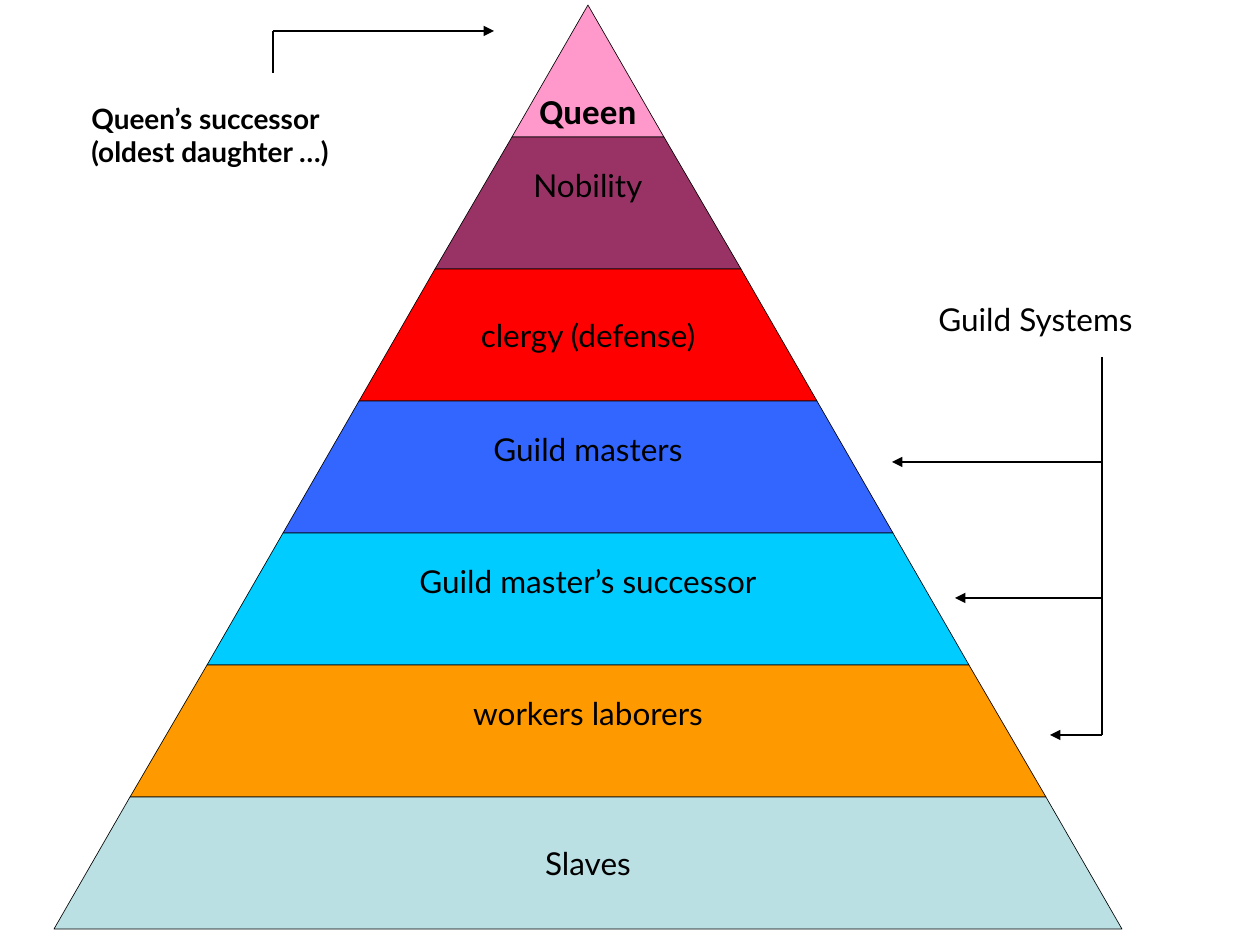
from dataclasses import dataclass

from lxml.etree import SubElement
from pptx import Presentation
from pptx.dml.color import RGBColor
from pptx.enum.shapes import MSO_CONNECTOR
from pptx.enum.text import MSO_ANCHOR, PP_ALIGN
from pptx.oxml.ns import qn
from pptx.slide import Slide
from pptx.text.text import TextFrame
from pptx.util import Emu, Pt

EMU_PER_PX = 914400 / 126


@dataclass(frozen=True)
class Theme:
    ink: str = "000000"
    font: str = "Lato"
    queen_font: str = "Calibri"
    body_size: int = 18
    queen_size: int = 20
    note_size: int = 16
    outline: float = 0.37
    arrow_line: float = 0.75


THEME = Theme()


@dataclass(frozen=True)
class Band:
    label: str
    fill: str
    space_above: int = 0
    space_below: int = 0
    font: str = THEME.font
    size: int = THEME.body_size
    bold: bool = False


@dataclass(frozen=True)
class Note:
    lines: tuple[str, ...]
    left: int
    top: int
    width: int
    height: int
    size: int
    bold: bool = False


@dataclass(frozen=True)
class Line:
    start: tuple[int, int]
    end: tuple[int, int]
    arrow: bool = True


APEX_X, APEX_Y = 588, 5
BAND_HEIGHT = 132
BASE_HALF_WIDTH = 534

BANDS = (
    Band("Queen", "FF99CC", space_above=78, font=THEME.queen_font, size=THEME.queen_size, bold=True),
    Band("Nobility", "993366", space_below=36),
    Band("clergy (defense)", "FF0000"),
    Band("Guild masters", "3366FF", space_below=36),
    Band("Guild master’s successor", "00CCFF", space_below=36),
    Band("workers laborers", "FF9900", space_below=36),
    Band("Slaves", "BBE0E3"),
)

NOTES = (
    Note(("Guild Systems",), 926, 294, 233, 50, THEME.body_size),
    Note(("Queen’s successor", "(oldest daughter …)"), 79, 95, 299, 81, THEME.note_size, True),
)

GUILD_X = 1102
SUCCESSOR_X = 273
LINES = (
    Line((GUILD_X, 357), (GUILD_X, 735), arrow=False),
    Line((GUILD_X, 462), (892, 462)),
    Line((GUILD_X, 598), (955, 598)),
    Line((GUILD_X, 735), (1050, 735)),
    Line((SUCCESSOR_X, 31), (494, 31)),
    Line((SUCCESSOR_X, 31), (SUCCESSOR_X, 73), arrow=False),
)


def px(length: int) -> Emu:
    return Emu(round(length * EMU_PER_PX))


def apply_format(target: object, values: dict[str, object]) -> None:
    for name, value in values.items():
        setattr(target, name, value)


def write_lines(frame: TextFrame, lines: tuple[str, ...], alignment: PP_ALIGN,
                font: str, size: int, bold: bool) -> None:
    for index, line in enumerate(lines):
        paragraph = frame.add_paragraph() if index else frame.paragraphs[0]
        paragraph.alignment = alignment
        run = paragraph.add_run()
        run.text = line
        apply_format(run.font, {"name": font, "size": Pt(size), "bold": bold})
        run.font.color.rgb = RGBColor.from_string(THEME.ink)


def draw_band(slide: Slide, band: Band, index: int) -> None:
    top = APEX_Y + index * BAND_HEIGHT
    bottom = top + BAND_HEIGHT
    upper, lower = (round(BASE_HALF_WIDTH * step / len(BANDS)) for step in (index, index + 1))
    builder = slide.shapes.build_freeform(APEX_X - lower, bottom, scale=EMU_PER_PX)
    builder.add_line_segments(
        [(APEX_X + lower, bottom), (APEX_X + upper, top), (APEX_X - upper, top)], close=True)
    shape = builder.convert_to_shape()
    shape.shadow.inherit = False
    shape.fill.solid()
    shape.fill.fore_color.rgb = RGBColor.from_string(band.fill)
    shape.line.color.rgb = RGBColor.from_string(THEME.ink)
    shape.line.width = Pt(THEME.outline)
    apply_format(shape.text_frame, {
        "word_wrap": False,
        "vertical_anchor": MSO_ANCHOR.MIDDLE,
        "margin_left": 0,
        "margin_right": 0,
        "margin_top": px(band.space_above),
        "margin_bottom": px(band.space_below),
    })
    write_lines(shape.text_frame, (band.label,), PP_ALIGN.CENTER, band.font, band.size, band.bold)


def draw_note(slide: Slide, note: Note) -> None:
    box = slide.shapes.add_textbox(*map(px, (note.left, note.top, note.width, note.height)))
    box.text_frame.word_wrap = True
    write_lines(box.text_frame, note.lines, PP_ALIGN.LEFT, THEME.font, note.size, note.bold)


def draw_line(slide: Slide, line: Line) -> None:
    connector = slide.shapes.add_connector(
        MSO_CONNECTOR.STRAIGHT, *map(px, line.start + line.end))
    connector.line.color.rgb = RGBColor.from_string(THEME.ink)
    connector.line.width = Pt(THEME.arrow_line)
    if line.arrow:
        SubElement(connector.line._get_or_add_ln(), qn("a:tailEnd"), type="triangle")
    SubElement(connector._element.spPr, qn("a:effectLst"))


def main() -> None:
    presentation = Presentation()
    apply_format(presentation, {"slide_width": px(1260), "slide_height": px(945)})
    slide = presentation.slides.add_slide(presentation.slide_layouts[6])
    for index, band in enumerate(BANDS):
        draw_band(slide, band, index)
    for note in NOTES:
        draw_note(slide, note)
    for line in LINES:
        draw_line(slide, line)
    presentation.save("out.pptx")


if __name__ == "__main__":
    main()
